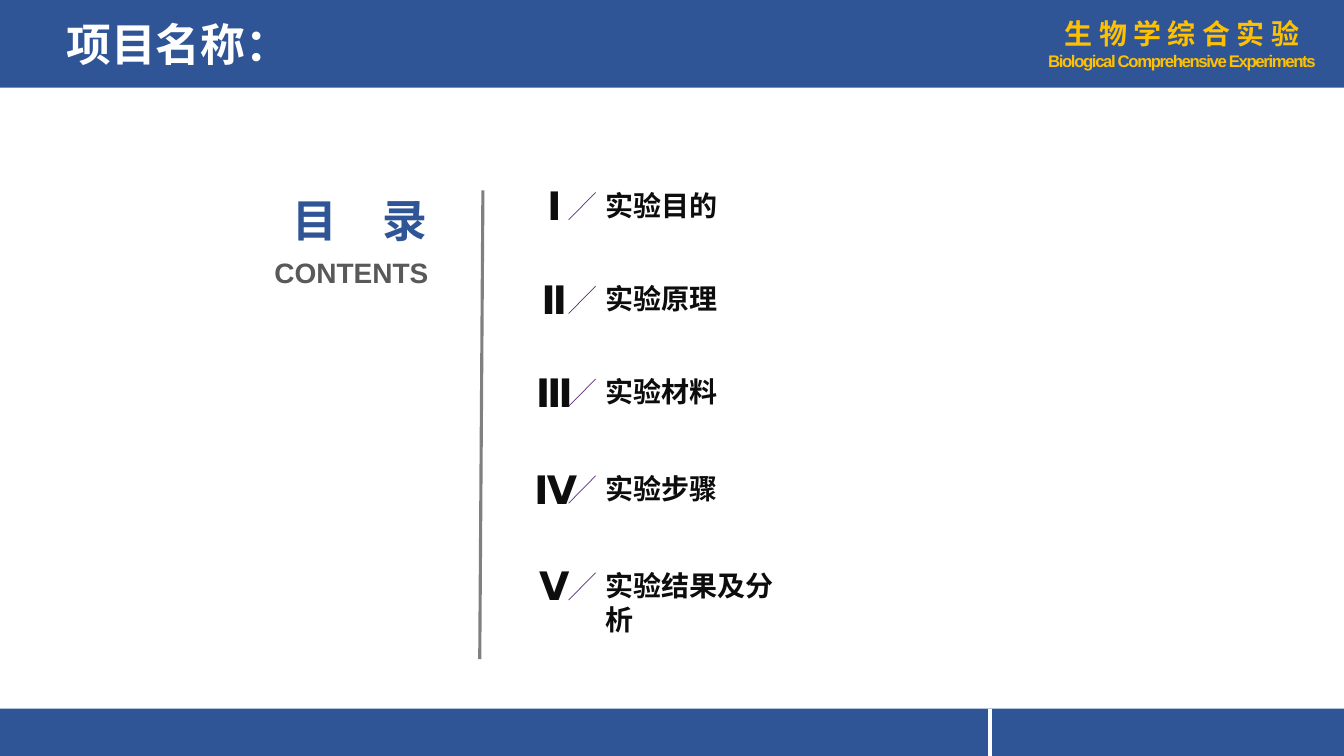
import pptx
import pptx.util
import pptx.dml.color
import pptx.enum.shapes
import pptx.enum.text
import pptx.oxml.ns
from dataclasses import dataclass
from lxml import etree

Cm = pptx.util.Cm
ALIGN = pptx.enum.text.PP_ALIGN
ANCHOR = pptx.enum.text.MSO_ANCHOR


@dataclass(frozen=True)
class Theme:
    blue: str = "2F5597"
    white: str = "FFFFFF"
    gold: str = "FFC000"
    grey: str = "595959"
    rule: str = "808080"
    ink: str = "0D0D0D"
    purple: str = "5C307D"
    heading: int = 32
    numeral: int = 28
    body: int = 20
    small: int = 12
    latin: str = "Arial"
    chinese: str = "Noto Sans CJK SC"
    numerals: str = "Montserrat"


THEME = Theme()

# Numeral, label, top of the slash in cm, label width in cm
CONTENTS = [
    ("Ⅰ", "实验目的", 4.85, 3.4),
    ("Ⅱ", "实验原理", 7.21, 3.4),
    ("Ⅲ", "实验材料", 9.55, 3.4),
    ("Ⅳ", "实验步骤", 11.99, 3.4),
    ("Ⅴ", "实验结果及分析", 14.43, 5.4),
]


def rgb(color):
    return pptx.dml.color.RGBColor.from_string(color)


def add_bar(page, top, height):
    bar = page.shapes.add_shape(
        pptx.enum.shapes.MSO_SHAPE.RECTANGLE, 0, Cm(top), Cm(33.87), Cm(height))
    bar.shadow.inherit = False
    bar.fill.solid()
    bar.fill.fore_color.rgb = rgb(THEME.blue)
    bar.line.fill.background()


def add_line(shapes, start, end, color, width):
    line = shapes.add_connector(
        pptx.enum.shapes.MSO_CONNECTOR.STRAIGHT,
        Cm(start[0]), Cm(start[1]), Cm(end[0]), Cm(end[1]))
    line.line.color.rgb = rgb(color)
    line.line.width = pptx.util.Pt(width)
    etree.SubElement(line._element.spPr, pptx.oxml.ns.qn("a:effectLst"))


def add_box(shapes, left, top, width, height, align, wrap=True, anchor=ANCHOR.TOP):
    box = shapes.add_textbox(Cm(left), Cm(top), Cm(width), Cm(height))
    box.text_frame.word_wrap = wrap
    box.text_frame.vertical_anchor = anchor
    box.text_frame.paragraphs[0].alignment = align
    return box.text_frame


def add_span(para, text, size, color, font, asian=THEME.chinese, spacing=None):
    span = para.add_run()
    span.text = text
    span.font.size = pptx.util.Pt(size)
    span.font.bold = True
    span.font.color.rgb = rgb(color)
    span.font.name = font
    properties = span._r.get_or_add_rPr()
    etree.SubElement(properties, pptx.oxml.ns.qn("a:ea"), typeface=asian)
    if spacing is not None:
        properties.set("spc", str(round(spacing * 100)))


def add_entry(page, numeral, label, top, width):
    shapes = page.shapes.add_group_shape().shapes
    frame = add_box(shapes, 15.01, top - 0.23, width, 1.12, ALIGN.LEFT)
    add_span(frame.paragraphs[0], label, THEME.body, THEME.ink, THEME.chinese)
    frame = add_box(shapes, 13.21, top - 0.4, 1.52, 1.45, ALIGN.CENTER, wrap=False)
    add_span(frame.paragraphs[0], numeral, THEME.numeral, THEME.ink,
             THEME.numerals, THEME.numerals)
    add_line(shapes, (15.01, top), (14.33, top + 0.69), THEME.purple, 0.5)


def add_frame(page):
    # Header and footer bars
    add_bar(page, 0, 2.21)
    add_bar(page, 17.86, 1.19)
    add_line(page.shapes, (24.94, 17.86), (24.94, 19.05), THEME.white, 3)

    # Course name
    frame = add_box(page.shapes, 25.7, 0.3, 8.18, 1.63, ALIGN.CENTER)
    add_span(frame.paragraphs[0], "生 物 学 综 合 实 验", THEME.body, THEME.gold, THEME.latin)
    para = frame.add_paragraph()
    para.alignment = ALIGN.CENTER
    add_span(para, "Biological Comprehensive Experiments", THEME.small,
             THEME.gold, THEME.latin, spacing=-1)

    # Project title
    frame = add_box(page.shapes, 1.42, 0.18, 24.66, 2.01, ALIGN.LEFT, anchor=ANCHOR.MIDDLE)
    frame.paragraphs[0].line_spacing = 0.9
    add_span(frame.paragraphs[0], "项目名称：", THEME.heading, THEME.white, THEME.latin)


def add_contents(page):
    # Section heading
    frame = add_box(page.shapes, 5.18, 6.32, 5.87, 1.12, ALIGN.RIGHT)
    add_span(frame.paragraphs[0], "CONTENTS", THEME.body, THEME.grey, THEME.latin)
    frame = add_box(page.shapes, 6.88, 4.72, 4.14, 1.63, ALIGN.RIGHT, wrap=False)
    add_span(frame.paragraphs[0], "目　录", THEME.heading, THEME.blue, THEME.chinese)

    # Divider and entries
    add_line(page.shapes, (12.17, 4.8), (12.09, 16.61), THEME.rule, 2.25)
    for entry in CONTENTS:
        add_entry(page, *entry)


def main():
    deck = pptx.Presentation()
    deck.slide_width, deck.slide_height = Cm(33.87), Cm(19.05)
    page = deck.slides.add_slide(deck.slide_layouts[6])
    add_frame(page)
    add_contents(page)
    deck.save("out.pptx")


if __name__ == "__main__":
    main()
